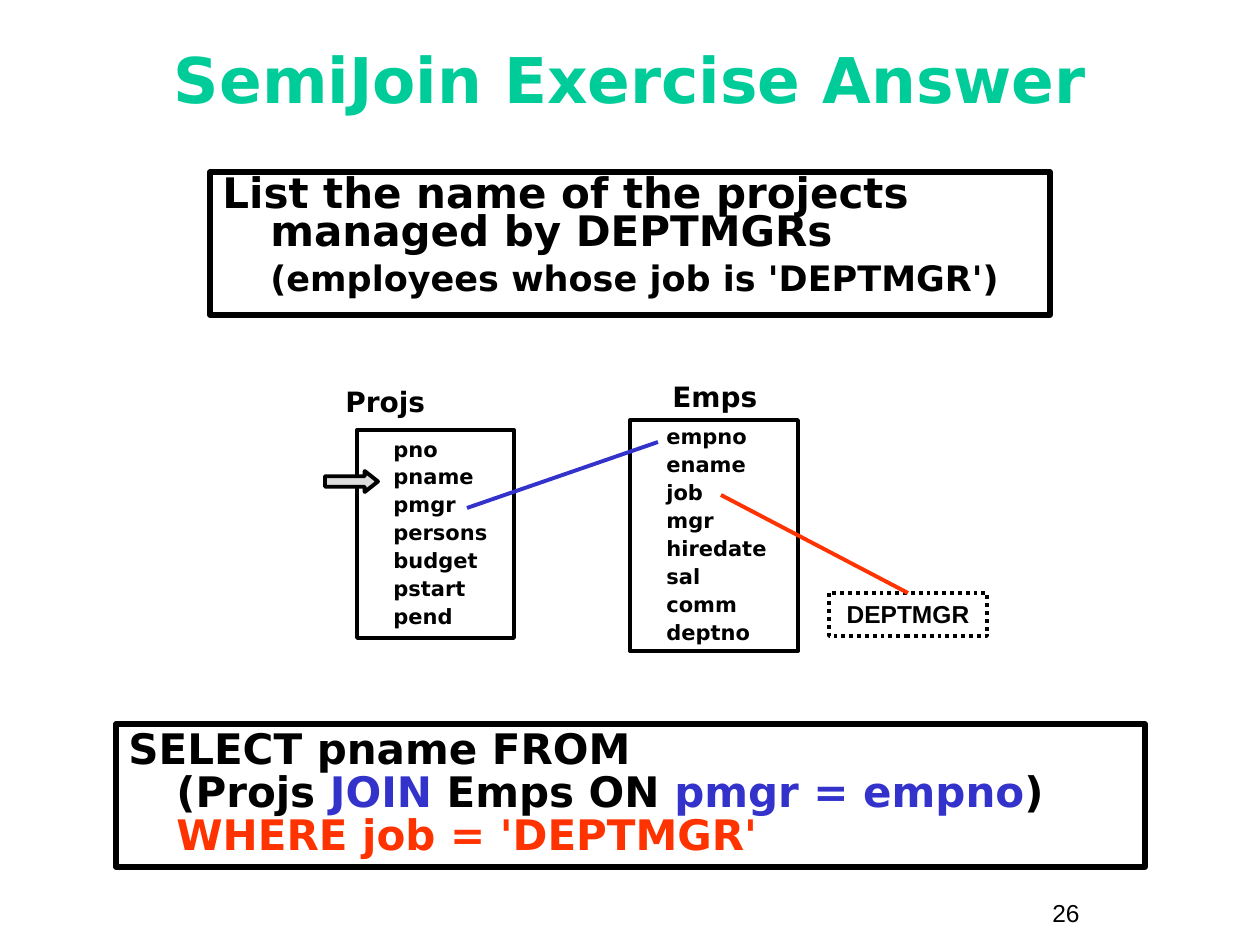
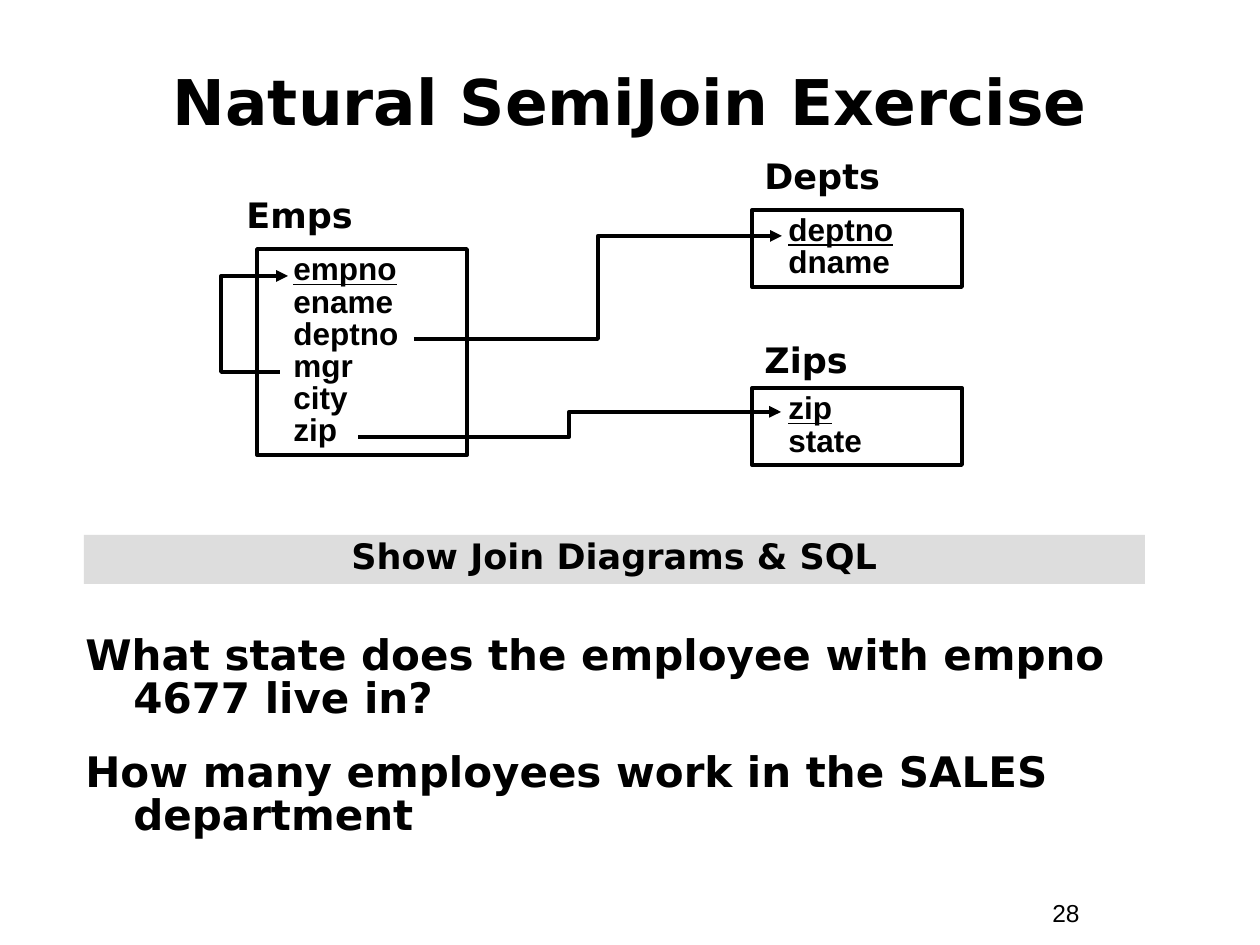
"""Build two slides on semijoin exercises: an answer and a new exercise."""
from dataclasses import dataclass

from lxml.etree import SubElement
from pptx import Presentation
from pptx.dml.color import RGBColor
from pptx.enum.dml import MSO_LINE
from pptx.enum.shapes import MSO_CONNECTOR, MSO_SHAPE
from pptx.enum.text import MSO_ANCHOR, PP_ALIGN
from pptx.oxml.ns import qn
from pptx.util import Emu, Pt

EMU_PER_PX = 914400 / 126


@dataclass(frozen=True)
class Theme:
    """Colours, fonts and type sizes that the slides share."""

    ink: str = "000000"
    green: str = "00CC99"
    blue: str = "3333CC"
    red: str = "FF3300"
    gray: str = "DDDDDD"
    heading_font: str = "DejaVu Sans"
    plain_font: str = "Arial"
    title: int = 36
    body: int = 24
    label: int = 20
    key: int = 18
    caption: int = 16
    small: int = 14
    column: int = 12
    frame_line: float = 3
    line: float = 2.25
    hanging: int = 48
    column_indent: int = 24


THEME = Theme()


def px(length):
    """Turn pixels into EMU."""
    return Emu(round(length * EMU_PER_PX))


def color(value):
    """Turn a hex string into a colour."""
    return RGBColor.from_string(value)


def add_box(page, place, fill=None, line=None, kind=MSO_SHAPE.RECTANGLE):
    """Add a preset shape with an optional fill and black outline."""
    box = page.shapes.add_shape(kind, *map(px, place))
    box.shadow.inherit = False
    if fill:
        box.fill.solid()
        box.fill.fore_color.rgb = color(fill)
    else:
        box.fill.background()
    if line:
        box.line.color.rgb = color(THEME.ink)
        box.line.width = Pt(line)
    else:
        box.line.fill.background()
    return box


def add_spans(para, spans):
    """Fill a paragraph from text or (text, colour) pairs; a newline breaks the line."""
    for span in [(spans, None)] if isinstance(spans, str) else spans:
        text, tint = span
        for index, piece in enumerate(text.split("\n")):
            if index:
                para.add_line_break()
            if piece:
                run = para.add_run()
                run.text = piece
                if tint:
                    run.font.color.rgb = color(tint)


def write(box, paras, size, font=THEME.heading_font, tint=THEME.ink, bold=True,
          align=PP_ALIGN.LEFT, anchor=MSO_ANCHOR.TOP, spacing=1.0, gap=0,
          left=0, first=0):
    """Write evenly styled paragraphs into a box."""
    frame = box.text_frame
    frame.word_wrap = True
    frame.vertical_anchor = anchor
    for index, spans in enumerate(paras):
        para = frame.add_paragraph() if index else frame.paragraphs[0]
        properties = para._p.get_or_add_pPr()
        properties.set("marL", str(px(left)))
        properties.set("indent", str(px(first)))
        para.alignment = align
        para.line_spacing = spacing
        para.space_before = Pt(gap if index else 0)
        add_spans(para, spans)
        para.font.name = font
        para.font.size = Pt(size)
        para.font.bold = bold
        para.font.color.rgb = color(tint)
    return frame.paragraphs


def add_text(page, place, text, size, **style):
    """Add a text box with one paragraph."""
    return write(page.shapes.add_textbox(*map(px, place)), [text], size, **style)


def add_page(deck, title, title_height, tint, number):
    """Add a blank slide with its title and page number."""
    page = deck.slides.add_slide(deck.slide_layouts[6])
    add_text(page, (42, 42, 1176, title_height), title, THEME.title, tint=tint,
             align=PP_ALIGN.CENTER, anchor=MSO_ANCHOR.MIDDLE)
    add_text(page, (1040, 892, 116, 43), number, THEME.small,
             font=THEME.plain_font, bold=False)
    return page


def add_column_list(page, place, columns):
    """Add a table outline with its column names centred vertically."""
    box = add_box(page, place, line=THEME.line)
    write(box, columns, THEME.column, anchor=MSO_ANCHOR.MIDDLE, spacing=0.9,
          gap=3, left=THEME.column_indent)


def add_keyed_table(page, name, label_place, place, columns):
    """Add a labelled table outline whose first column is the underlined key."""
    add_text(page, label_place, name, THEME.label)
    box = add_box(page, place, line=THEME.line)
    paras = write(box, columns, THEME.key, font=THEME.plain_font, spacing=0.85,
                  left=THEME.column_indent)
    paras[0].font.underline = True


def add_line(page, start, end, tint, kind=MSO_CONNECTOR.STRAIGHT):
    """Add a connector without a shadow."""
    line = page.shapes.add_connector(kind, *map(px, start + end))
    line.line.color.rgb = color(tint)
    line.line.width = Pt(THEME.line)
    SubElement(line._element.spPr, qn("a:effectLst"))
    return line


def add_key_arrow(page, start, end, bend):
    """Add an elbow arrow that turns at the given x position."""
    arrow = add_line(page, start, end, THEME.ink, MSO_CONNECTOR.ELBOW)
    share = (bend - start[0]) / (end[0] - start[0])
    guides = arrow._element.spPr.prstGeom.get_or_add_avLst()
    SubElement(guides, qn("a:gd"), name="adj1", fmla=f"val {round(share * 100000)}")
    SubElement(arrow.line._get_or_add_ln(), qn("a:tailEnd"), type="triangle")


def build_answer(deck):
    """Build the slide with the join diagram and its query."""
    page = add_page(deck, "SemiJoin Exercise Answer", 73, THEME.green, "26")
    question = add_box(page, (210, 172, 840, 143), line=THEME.frame_line)
    paras = write(question, ["List the name of the projects managed by DEPTMGRs",
                             "(employees whose job is 'DEPTMGR')"],
                  THEME.body, spacing=0.75, gap=7, left=THEME.hanging,
                  first=-THEME.hanging)
    paras[1]._p.pPr.set("indent", "0")
    paras[1].font.size = Pt(THEME.label)

    query = add_box(page, (116, 724, 1029, 143), line=THEME.frame_line)
    write(query, [[("SELECT pname FROM\n(Projs ", None), ("JOIN", THEME.blue),
                   (" Emps ON ", None), ("pmgr = empno", THEME.blue), (")\n", None),
                   ("WHERE job = 'DEPTMGR'", THEME.red)]],
          THEME.body, spacing=0.85, left=THEME.hanging, first=-THEME.hanging)

    add_text(page, (660, 377, 171, 43), "Emps", THEME.caption, spacing=0.9)
    add_column_list(page, (630, 420, 168, 231),
                    ["empno", "ename", "job", "mgr", "hiredate", "sal", "comm", "deptno"])
    add_text(page, (333, 382, 171, 43), "Projs", THEME.caption, spacing=0.9)
    add_column_list(page, (357, 430, 157, 208),
                    ["pno", "pname", "pmgr", "persons", "budget", "pstart", "pend"])
    add_line(page, (658, 442), (467, 508), THEME.blue)
    pointer = add_box(page, (325, 471, 53, 21), THEME.gray, THEME.line,
                      MSO_SHAPE.RIGHT_ARROW)
    pointer.adjustments[0], pointer.adjustments[1] = 0.5, 0.63

    job = add_box(page, (829, 593, 158, 43), line=THEME.line)
    job.line.dash_style = MSO_LINE.ROUND_DOT
    write(job, ["DEPTMGR"], THEME.small, font=THEME.plain_font, align=PP_ALIGN.CENTER)
    add_line(page, (721, 495), (908, 593), THEME.red).end_connect(job, 0)


def build_exercise(deck):
    """Build the slide with the linked tables and two questions."""
    page = add_page(deck, "Natural SemiJoin Exercise", 116, THEME.ink, "28")
    questions = page.shapes.add_textbox(*map(px, (73, 630, 1144, 221)))
    write(questions, ["What state does the employee with empno 4677 live in?",
                      "How many employees work in the SALES department"],
          THEME.body, spacing=0.85, gap=18, left=THEME.hanging, first=-THEME.hanging)

    add_keyed_table(page, "Emps", (234, 187, 271, 55), (257, 249, 210, 206),
                    ["empno", "ename", "deptno", "mgr", "city", "zip"])
    for name, label_top, top, columns in (("Zips", 332, 388, ["zip", "state"]),
                                          ("Depts", 148, 210, ["deptno", "dname"])):
        add_keyed_table(page, name, (752, label_top, 271, 55),
                        (752, top, 210, 77), columns)
    for start, end, bend in (((358, 437), (781, 412), 569),
                             ((414, 339), (782, 236), 598),
                             ((280, 372), (288, 276), 221)):
        add_key_arrow(page, start, end, bend)

    band = add_box(page, (84, 535, 1061, 49), fill=THEME.gray)
    write(band, ["Show Join Diagrams & SQL"], THEME.label, spacing=0.85,
          align=PP_ALIGN.CENTER)


def main():
    """Build the deck and save it."""
    deck = Presentation()
    deck.slide_width, deck.slide_height = px(1260), px(945)
    build_answer(deck)
    build_exercise(deck)
    deck.save("out.pptx")


if __name__ == "__main__":
    main()
